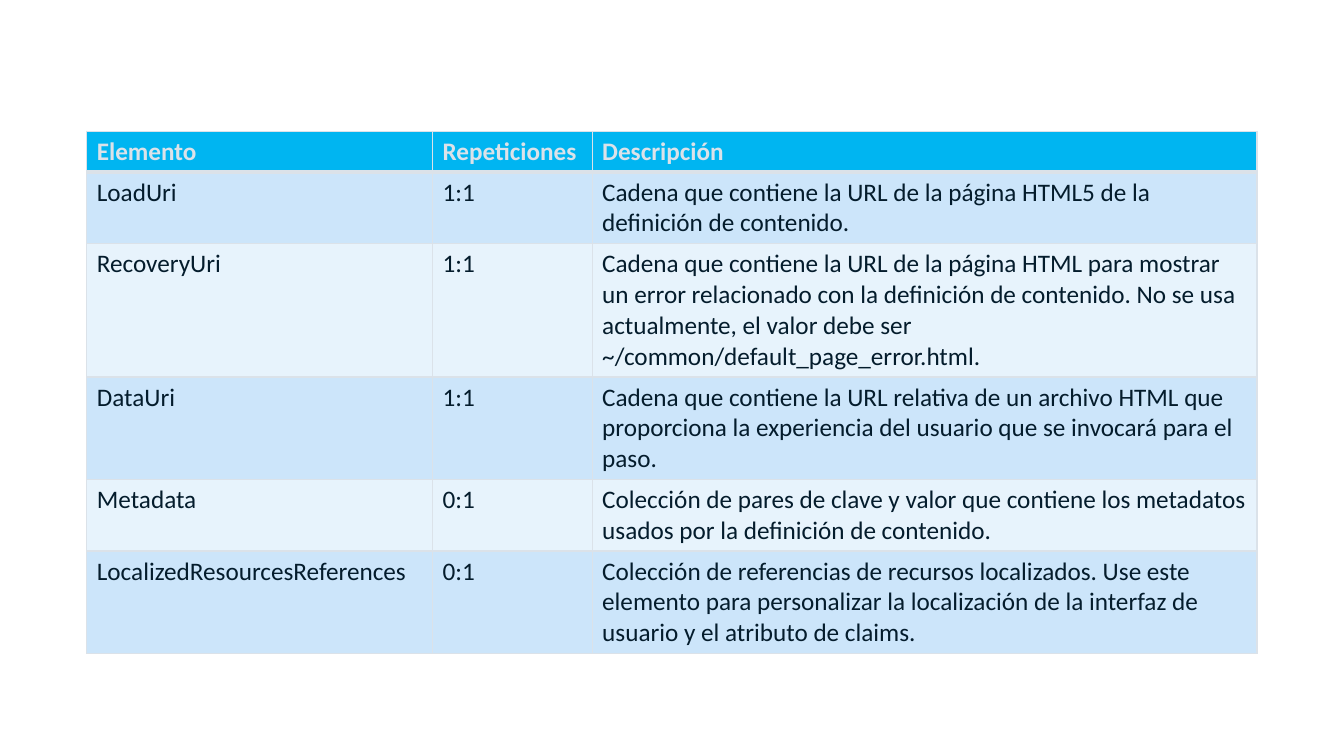
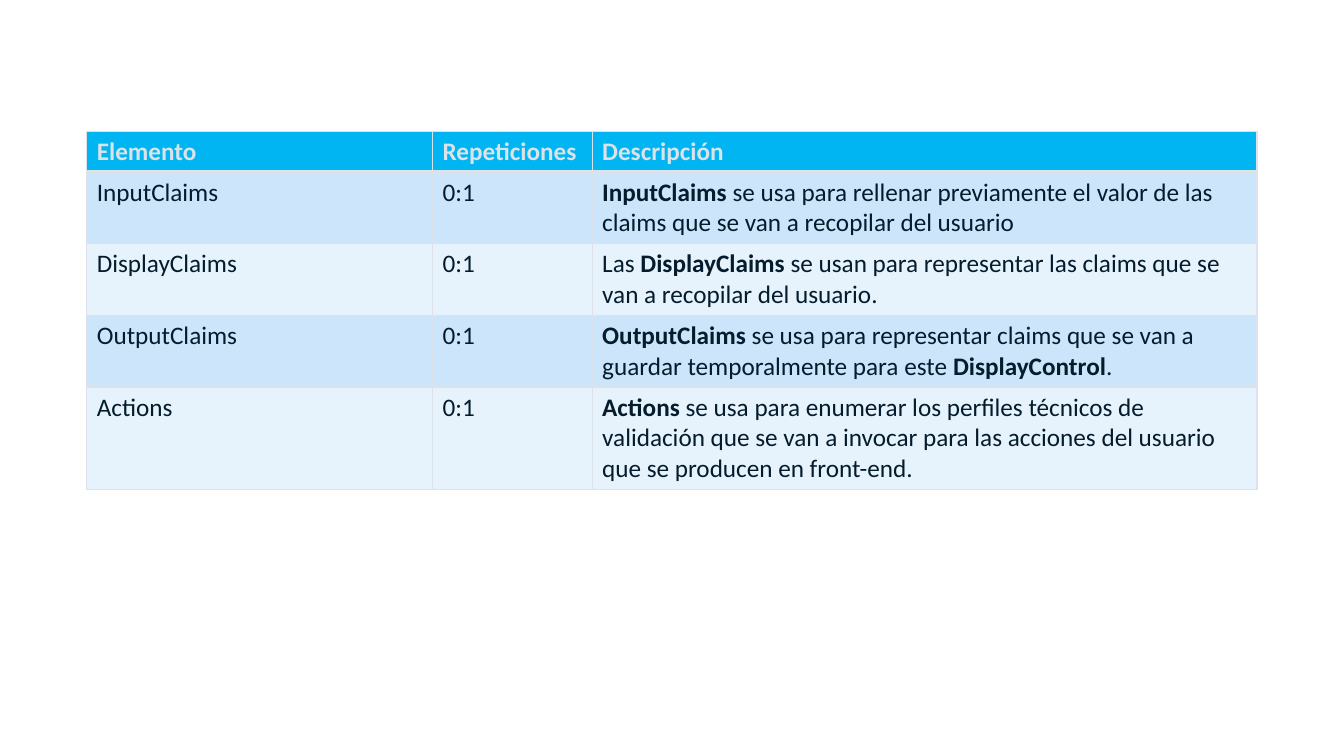
"""Build two slides, each with a table of elements, repetitions and descriptions."""
from lxml import etree
from pptx import Presentation
from pptx.dml.color import RGBColor
from pptx.oxml.ns import qn
from pptx.util import Pt

COLORS = {
    "header": "00B5F1",
    "odd": "CCE5FA",
    "even": "E7F3FC",
    "line": "DBE2E9",
    "text": "041C2C",
}
FONT = "Calibri"
FONT_SIZE = 18
LEFT, TOP = 62, 93.8
COL_WIDTHS = [247, 114, 475]
ROW_HEIGHT = 29.2
BLANK = 6

HEADER = ("Elemento", "Repeticiones", "Descripción")
TABLES = [
    [
        ("LoadUri", "1:1",
         "Cadena que contiene la URL de la página HTML5 de la definición de contenido."),
        ("RecoveryUri", "1:1",
         "Cadena que contiene la URL de la página HTML para mostrar un error relacionado "
         "con la definición de contenido. No se usa actualmente, el valor debe "
         "ser ~/common/default_page_error.html."),
        ("DataUri", "1:1",
         "Cadena que contiene la URL relativa de un archivo HTML que proporciona la "
         "experiencia del usuario que se invocará para el paso."),
        ("Metadata", "0:1",
         "Colección de pares de clave y valor que contiene los metadatos usados por la "
         "definición de contenido."),
        ("LocalizedResourcesReferences", "0:1",
         "Colección de referencias de recursos localizados. Use este elemento para "
         "personalizar la localización de la interfaz de usuario y el atributo de claims."),
    ],
    [
        ("InputClaims", "0:1",
         "**InputClaims** se usa para rellenar previamente el valor de las claims que se "
         "van a recopilar del usuario"),
        ("DisplayClaims", "0:1",
         "Las **DisplayClaims** se usan para representar las claims que se van a "
         "recopilar del usuario."),
        ("OutputClaims", "0:1",
         "**OutputClaims** se usa para representar claims que se van a guardar "
         "temporalmente para este **DisplayControl**."),
        ("Actions", "0:1",
         "**Actions** se usa para enumerar los perfiles técnicos de validación que se van "
         "a invocar para las acciones del usuario que se producen en front-end."),
    ],
]


def set_borders(cell, bottom):
    tc_pr = cell._tc.get_or_add_tcPr()
    widths = {"a:lnL": 1, "a:lnR": 1, "a:lnT": 1, "a:lnB": bottom}
    for i, (tag, width) in enumerate(widths.items()):
        ln = etree.Element(qn(tag), w=str(Pt(width)))
        fill = etree.SubElement(ln, qn("a:solidFill"))
        etree.SubElement(fill, qn("a:srgbClr"), val=COLORS["line"])
        tc_pr.insert(i, ln)


def add_runs(p, text, color, header):
    for i, part in enumerate(text.split("**")):
        if part:
            r = p.add_run()
            r.text = part
            r.font.name = FONT
            r.font.size = Pt(FONT_SIZE)
            r.font.bold = header or i % 2 == 1
            r.font.color.rgb = RGBColor.from_string(color)


prs = Presentation()
prs.slide_width, prs.slide_height = Pt(960), Pt(540)

for body in TABLES:
    s = prs.slides.add_slide(prs.slide_layouts[BLANK])
    rows = [HEADER, *body]
    table = s.shapes.add_table(
        len(rows), len(COL_WIDTHS), Pt(LEFT), Pt(TOP),
        Pt(sum(COL_WIDTHS)), Pt(ROW_HEIGHT * len(rows)),
    ).table
    for column, width in zip(table.columns, COL_WIDTHS):
        column.width = Pt(width)
    for i, row in enumerate(rows):
        header = i == 0
        table.rows[i].height = Pt(ROW_HEIGHT)
        fill = "header" if header else "odd" if i % 2 else "even"
        for j, text in enumerate(row):
            cell = table.cell(i, j)
            cell.fill.solid()
            cell.fill.fore_color.rgb = RGBColor.from_string(COLORS[fill])
            set_borders(cell, 3 if header else 1)
            color = COLORS["line" if header else "text"]
            add_runs(cell.text_frame.paragraphs[0], text, color, header)

prs.save("out.pptx")
